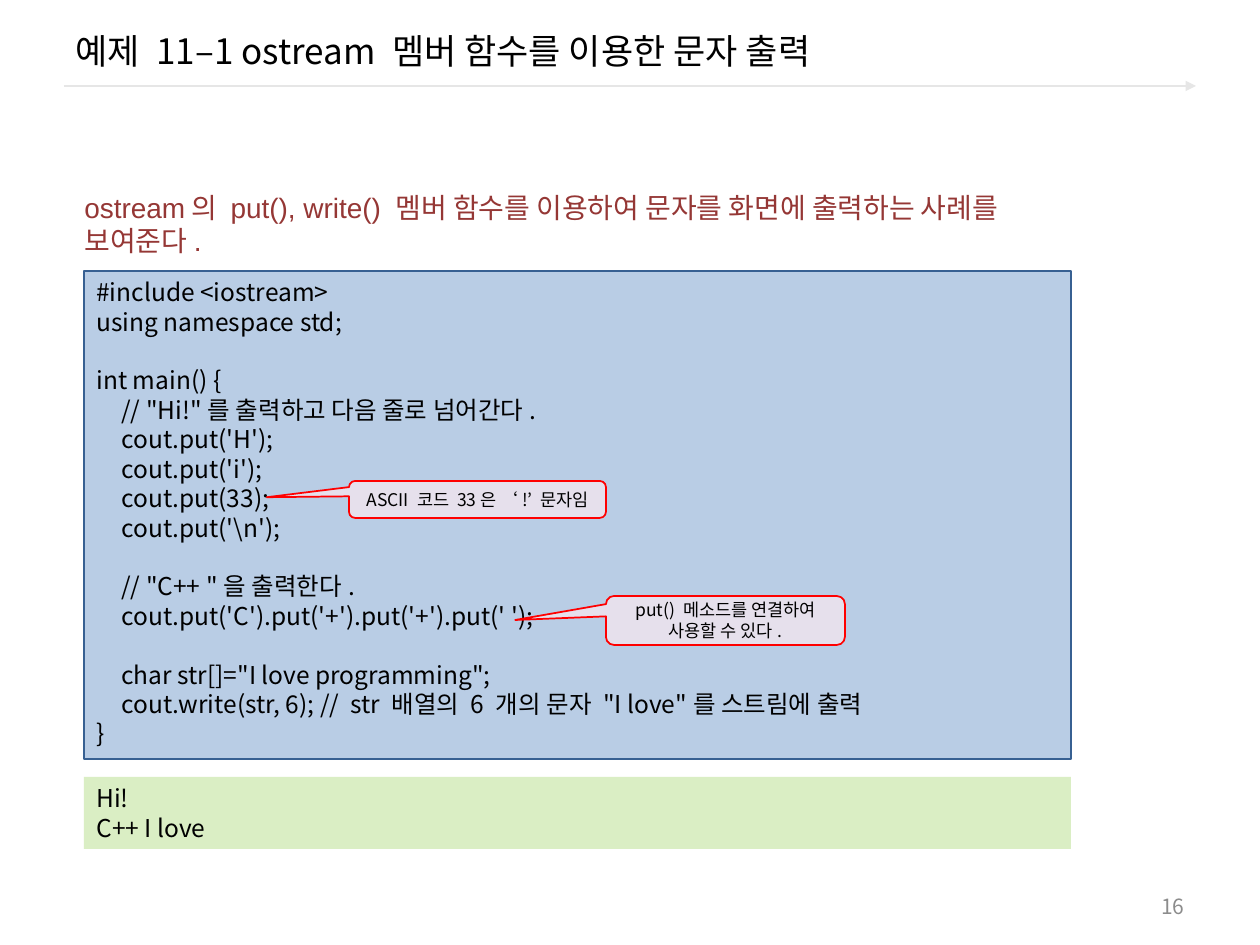
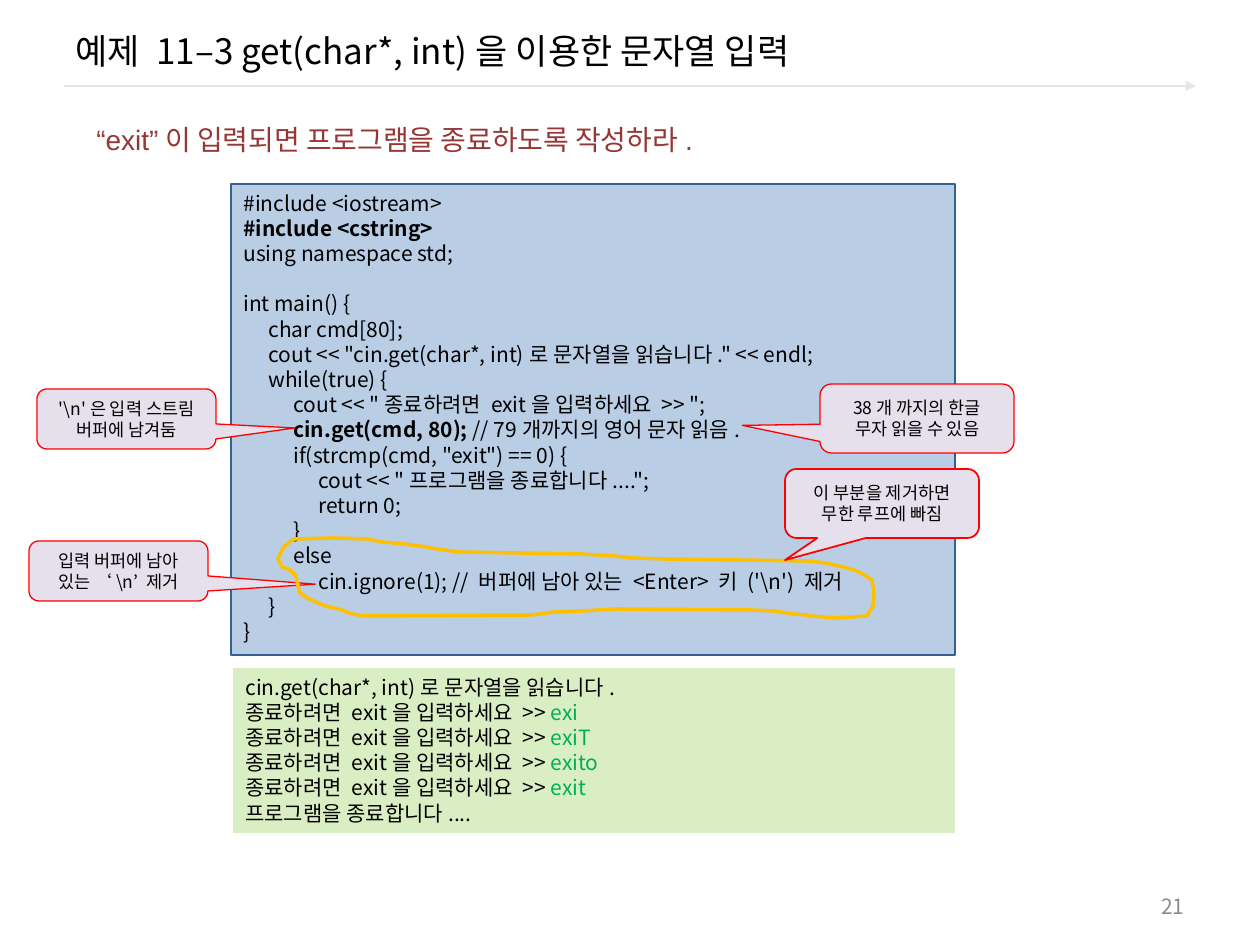
from dataclasses import dataclass

from lxml import etree
from pptx import Presentation
from pptx import util as u
from pptx.dml.color import RGBColor
from pptx.enum import shapes, text
from pptx.oxml.ns import qn

SCALE = 914400 / 126
FONT = "Noto Sans CJK KR"
PITCH = 1.2
TAB = 25
HUES = {
    "ink": "000000", "intro": "953735", "rule": "E6E6E6", "page": "8C8C8C",
    "code": "B9CDE5", "edge": "376092", "out": "DAEEC4", "typed": "00B050",
    "note": "E6E0EC", "alert": "FF0000", "loop": "FFC000",
}


@dataclass(frozen=True)
class Box:
    x: int
    y: int
    w: int
    h: int


@dataclass(frozen=True)
class Style:
    size: int
    hue: str = "ink"
    font: str = FONT
    align: text.PP_ALIGN = text.PP_ALIGN.LEFT
    anchor: text.MSO_ANCHOR = text.MSO_ANCHOR.TOP


@dataclass(frozen=True)
class Panel:
    box: Box
    fill: str
    size: int
    lines: str
    edge: str = ""
    strong: str = "ink"


@dataclass(frozen=True)
class Note:
    box: Box
    tip: tuple
    words: str
    width: float = 0.75


@dataclass(frozen=True)
class Page:
    title: str
    number: str
    intro: str
    place: Box
    panels: tuple
    under: tuple
    loop: tuple
    over: tuple


TITLE = Style(20, anchor=text.MSO_ANCHOR.MIDDLE)
INTRO = Style(16, "intro", "Arial")
NUMBER = Style(12, "page", align=text.PP_ALIGN.RIGHT, anchor=text.MSO_ANCHOR.MIDDLE)
NOTE = Style(10, align=text.PP_ALIGN.CENTER, anchor=text.MSO_ANCHOR.MIDDLE)

PUT = r"""#include <iostream>
using namespace std;

int main() {
    // "Hi!"를 출력하고 다음 줄로 넘어간다.
    cout.put('H');
    cout.put('i');
    cout.put(33);
    cout.put('\n');

    // "C++ "을 출력한다.
    cout.put('C').put('+').put('+').put(' ');

    char str[]="I love programming";
    cout.write(str, 6); //  str 배열의 6 개의 문자 "I love"를 스트림에 출력
}"""

GET = r"""#include <iostream>
|#include <cstring>|
using namespace std;

int main() {
    char cmd[80];
    cout << "cin.get(char*, int)로 문자열을 읽습니다." << endl;
    while(true) {
        cout << "종료하려면 exit을 입력하세요 >> ";
        |cin.get(cmd, 80); |// 79개까지의 영어 문자 읽음.
        if(strcmp(cmd, "exit") == 0) {
            cout << "프로그램을 종료합니다....";
            return 0;
        }
        else
            cin.ignore(1); // 버퍼에 남아 있는 <Enter> 키 ('\n') 제거
    }
}"""

RESULT = """cin.get(char*, int)로 문자열을 읽습니다.
종료하려면 exit을 입력하세요 >> |exi|
종료하려면 exit을 입력하세요 >> |exiT|
종료하려면 exit을 입력하세요 >> |exito|
종료하려면 exit을 입력하세요 >> |exit|
프로그램을 종료합니다...."""

LOOP = (
    (333, 538), (295, 539), (291, 541), (284, 547), (281, 552), (278, 559),
    (282, 567), (290, 570), (296, 576), (298, 586), (300, 593), (309, 599),
    (325, 606), (339, 609), (352, 614), (365, 616), (532, 615), (554, 612),
    (583, 611), (615, 609), (750, 610), (774, 611), (793, 614), (806, 615),
    (811, 616), (835, 618), (867, 616), (873, 606), (874, 593), (872, 580),
    (864, 575), (857, 571), (843, 567), (825, 563), (808, 561), (664, 559),
    (633, 558), (614, 556), (580, 554), (459, 552), (437, 549), (426, 547),
    (404, 544), (382, 542), (367, 539),
)

PAGES = (
    Page(
        "예제 11–1 ostream 멤버 함수를 이용한 문자 출력", "16",
        "ostream의 put(), write() 멤버 함수를 이용하여 문자를 화면에 출력하는 사례를 보여준다.",
        Box(72, 184, 1004, 81),
        (
            Panel(Box(84, 271, 987, 488), "code", 14, PUT, "edge"),
            Panel(Box(84, 777, 987, 72), "out", 14, "Hi!\nC++ I love"),
        ),
        (
            Note(Box(606, 596, 239, 49), (-0.88, -0.01),
                 "put() 메소드를 연결하여\n사용할 수 있다.", 1),
            Note(Box(349, 481, 257, 37), (-0.82, -0.06),
                 "ASCII 코드 33은 ‘!’ 문자임", 1),
        ),
        (), (),
    ),
    Page(
        "예제 11–3 get(char*, int)을 이용한 문자열 입력", "21",
        "“exit”이 입력되면 프로그램을 종료하도록 작성하라.",
        Box(84, 116, 674, 47),
        (
            Panel(Box(231, 184, 724, 471), "code", 12, GET, "edge"),
            Panel(Box(233, 668, 722, 165), "out", 12, RESULT, strong="typed"),
        ),
        (
            Note(Box(37, 389, 179, 60), (0.94, 0.15), r"'\n'은 입력 스트림 버퍼에 남겨둠"),
            Note(Box(29, 541, 179, 60), (1.1, 0.22), r"입력 버퍼에 남아 있는 ‘\n’ 제거"),
        ),
        LOOP,
        (
            Note(Box(785, 469, 194, 69), (-0.5, 0.82), "이 부분을 제거하면 무한 루프에 빠짐", 1),
            Note(Box(820, 384, 194, 69), (-0.9, 0.1), "38개 까지의 한글 무자 읽을 수 있음"),
        ),
    ),
)


def px(n: int) -> u.Emu:
    return u.Emu(round(n * SCALE))


def place(box: Box) -> tuple:
    return px(box.x), px(box.y), px(box.w), px(box.h)


def hue(name: str) -> RGBColor:
    return RGBColor.from_string(HUES[name])


def dress(run, style: Style, name: str) -> None:
    run.font.size = u.Pt(style.size)
    run.font.name = style.font
    run.font.color.rgb = hue(name)
    etree.SubElement(run._r.get_or_add_rPr(), qn("a:ea"), typeface=FONT)


def write(frame, words: str, style: Style) -> None:
    frame.text = words
    frame.word_wrap = True
    frame.vertical_anchor = style.anchor
    for para in frame.paragraphs:
        para.alignment = style.align
        for run in para.runs:
            dress(run, style, style.hue)


def stops(para) -> None:
    tabs = etree.SubElement(para._p.get_or_add_pPr(), qn("a:tabLst"))
    for n in range(1, 4):
        etree.SubElement(tabs, qn("a:tab"), pos=str(px(n * TAB)), algn="l")


def fill_in(frame, panel: Panel) -> None:
    style = Style(panel.size)
    frame.word_wrap = True
    frame.vertical_anchor = style.anchor
    gap = False
    para = None
    for line in panel.lines.replace("    ", "\t").split("\n"):
        if not line:
            gap = True
            continue
        para = frame.add_paragraph() if para else frame.paragraphs[0]
        para.alignment = style.align
        if gap:
            para.space_before = u.Pt(PITCH * panel.size)
        gap = False
        if line.startswith("\t"):
            stops(para)
        for n, part in enumerate(line.split("|")):
            if part:
                run = para.add_run()
                run.text = part
                dress(run, style, panel.strong if n % 2 else "ink")
                if n % 2 and panel.strong == "ink":
                    run.font.bold = True


def block(slide, kind, box: Box, fill: str, edge: str, width: float):
    shape = slide.shapes.add_shape(kind, *place(box))
    shape.shadow.inherit = False
    shape.fill.solid()
    shape.fill.fore_color.rgb = hue(fill)
    if edge:
        shape.line.color.rgb = hue(edge)
        shape.line.width = u.Pt(width)
    else:
        shape.line.fill.background()
    return shape


def add_panel(slide, panel: Panel) -> None:
    kind = shapes.MSO_SHAPE.RECTANGLE
    shape = block(slide, kind, panel.box, panel.fill, panel.edge, 0.75)
    fill_in(shape.text_frame, panel)


def add_note(slide, note: Note) -> None:
    kind = shapes.MSO_SHAPE.ROUNDED_RECTANGULAR_CALLOUT
    shape = block(slide, kind, note.box, "note", "alert", note.width)
    shape.adjustments[0], shape.adjustments[1] = note.tip
    write(shape.text_frame, note.words, NOTE)


def add_loop(slide, points: tuple) -> None:
    pen = slide.shapes.build_freeform(*points[0], scale=SCALE)
    pen.add_line_segments(points[1:], close=True)
    shape = pen.convert_to_shape()
    shape.shadow.inherit = False
    shape.fill.background()
    shape.line.color.rgb = hue("loop")
    shape.line.width = u.Pt(2)


def add_text(slide, box: Box, words: str, style: Style) -> None:
    write(slide.shapes.add_textbox(*place(box)).text_frame, words, style)


def add_frame(slide, page: Page) -> None:
    rule = slide.shapes.add_connector(
        shapes.MSO_CONNECTOR.STRAIGHT, px(64), px(86), px(1196), px(86))
    rule.line.color.rgb = hue("rule")
    rule.line.width = u.Pt(1.5)
    etree.SubElement(rule.line._get_or_add_ln(), qn("a:tailEnd"), type="triangle")
    etree.SubElement(rule._element.spPr, qn("a:effectLst"))
    title = slide.shapes.title
    title.left, title.top, title.width, title.height = place(Box(63, 10, 1134, 81))
    write(title.text_frame, page.title, TITLE)
    add_text(slide, Box(903, 886, 294, 40), page.number, NUMBER)


def draw(deck, page: Page) -> None:
    slide = deck.slides.add_slide(deck.slide_layouts[5])
    add_frame(slide, page)
    for panel in page.panels:
        add_panel(slide, panel)
    for note in page.under:
        add_note(slide, note)
    if page.loop:
        add_loop(slide, page.loop)
    for note in page.over:
        add_note(slide, note)
    add_text(slide, page.place, page.intro, INTRO)


def main() -> None:
    deck = Presentation()
    deck.slide_width, deck.slide_height = px(1260), px(945)
    for page in PAGES:
        draw(deck, page)
    deck.save("out.pptx")


if __name__ == "__main__":
    main()
